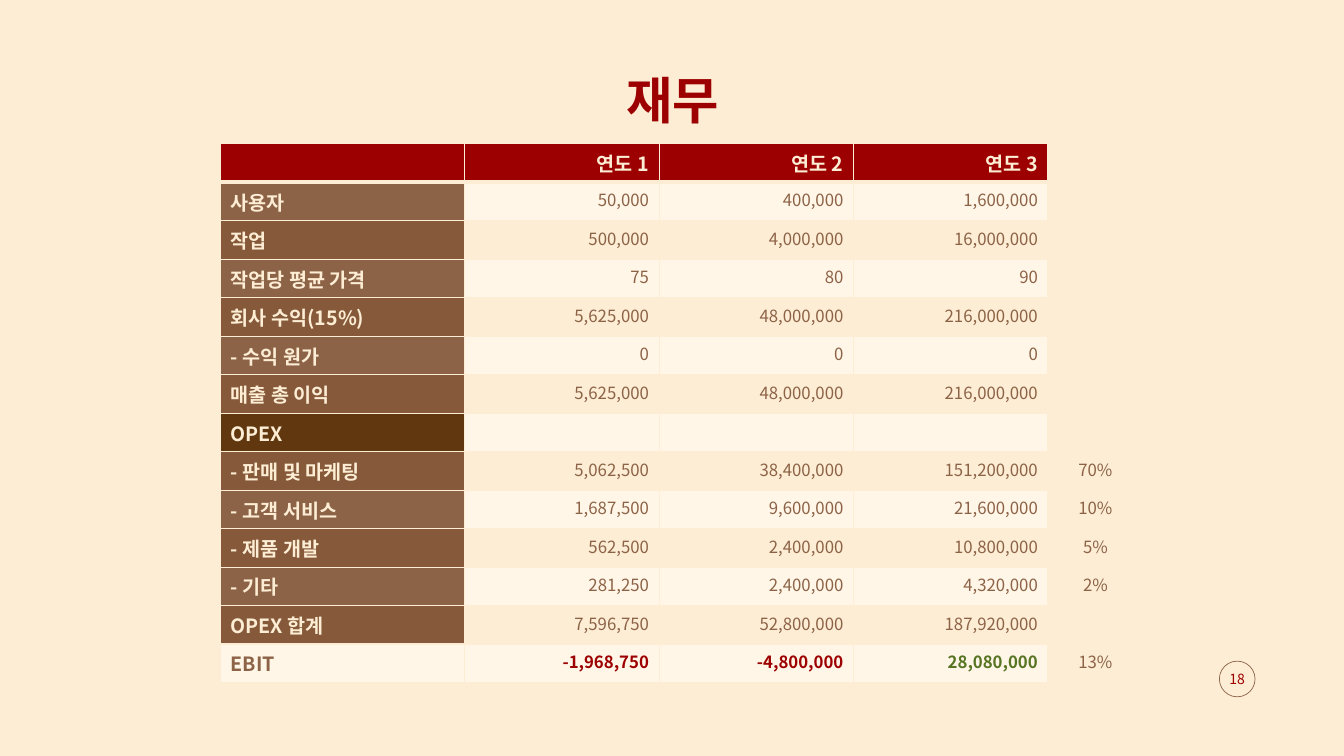
from lxml.etree import SubElement
from pptx import Presentation
from pptx.dml.color import RGBColor
from pptx.enum.shapes import MSO_SHAPE
from pptx.enum.text import MSO_ANCHOR, PP_ALIGN
from pptx.oxml.ns import qn
from pptx.util import Cm, Pt

FONT = "Noto Sans CJK KR"
CREAM = RGBColor(0xFC, 0xED, 0xD4)
PALE = RGBColor(0xFF, 0xF6, 0xE7)
RED = RGBColor(0x9D, 0x00, 0x00)
GREEN = RGBColor(0x57, 0x74, 0x23)
BROWN = RGBColor(0x8D, 0x63, 0x47)
DEEP_BROWN = RGBColor(0x85, 0x59, 0x39)
DARK_BROWN = RGBColor(0x60, 0x37, 0x0F)

TITLE = "재무"
PAGE_NUMBER = "18"
FINANCES = [
    ("", "연도 1", "연도 2", "연도 3", ""),
    ("사용자", "50,000", "400,000", "1,600,000", ""),
    ("작업", "500,000", "4,000,000", "16,000,000", ""),
    ("작업당 평균 가격", "75", "80", "90", ""),
    ("회사 수익(15%)", "5,625,000", "48,000,000", "216,000,000", ""),
    ("- 수익 원가", "0", "0", "0", ""),
    ("매출 총 이익", "5,625,000", "48,000,000", "216,000,000", ""),
    ("OPEX", "", "", "", ""),
    ("- 판매 및 마케팅", "5,062,500", "38,400,000", "151,200,000", "70%"),
    ("- 고객 서비스", "1,687,500", "9,600,000", "21,600,000", "10%"),
    ("- 제품 개발", "562,500", "2,400,000", "10,800,000", "5%"),
    ("- 기타", "281,250", "2,400,000", "4,320,000", "2%"),
    ("OPEX 합계", "7,596,750", "52,800,000", "187,920,000", ""),
    ("EBIT", "-1,968,750", "-4,800,000", "28,080,000", "13%"),
]
COLUMN_WIDTHS = [6.15, 4.9, 4.9, 4.9, 2.39]
ROW_HEIGHT = 0.97
TABLE_LEFT, TABLE_TOP = 5.56, 3.62
LABEL, SHARE = 0, 4
HEADER, EBIT = 0, len(FINANCES) - 1


def write(frame, text, size=12, color=BROWN, bold=False, align=PP_ALIGN.LEFT, spacing=None):
    para = frame.paragraphs[0]
    para.alignment = align
    para.line_spacing = spacing
    if not text:
        SubElement(para._p, qn("a:endParaRPr"), sz=str(size * 100))
        return
    span = para.add_run()
    span.text = text
    font = span.font
    font.name, font.size, font.bold = FONT, Pt(size), bold
    font.color.rgb = color
    SubElement(font._element, qn("a:ea"), typeface=FONT)


def add_text(page, text, left, top, width, height, anchor, **text_format):
    box = page.shapes.add_textbox(Cm(left), Cm(top), Cm(width), Cm(height))
    frame = box.text_frame
    frame.word_wrap = True
    frame.vertical_anchor = anchor
    write(frame, text, **text_format)
    return frame


def add_borders(cell, row):
    properties = cell._tc.get_or_add_tcPr()
    widths = {"L": 1, "R": 1, "T": 3 if row == HEADER + 1 else 1, "B": 3 if row == HEADER else 1}
    for side, width in widths.items():
        line = SubElement(properties, qn("a:ln" + side), w=str(Pt(width)))
        fill = SubElement(line, qn("a:solidFill"))
        SubElement(fill, qn("a:srgbClr"), val=str(CREAM))


def cell_fill(row, column):
    striped = row % 2 == 1
    if column == SHARE:
        return None
    if row == HEADER:
        return RED
    if column == LABEL and row != EBIT:
        if FINANCES[row][LABEL] == "OPEX":
            return DARK_BROWN
        return BROWN if striped else DEEP_BROWN
    return PALE if striped else None


def cell_format(row, column):
    if column == LABEL:
        return dict(size=14, bold=True, color=BROWN if row == EBIT else CREAM)
    if column == SHARE:
        return dict(align=PP_ALIGN.CENTER)
    if row == HEADER:
        return dict(size=14, bold=True, color=CREAM, align=PP_ALIGN.RIGHT)
    if row == EBIT:
        loss = FINANCES[row][column].startswith("-")
        return dict(bold=True, color=RED if loss else GREEN, align=PP_ALIGN.RIGHT)
    return dict(align=PP_ALIGN.RIGHT)


def add_finances(page):
    frame = page.shapes.add_table(
        len(FINANCES), len(COLUMN_WIDTHS), Cm(TABLE_LEFT), Cm(TABLE_TOP),
        Cm(sum(COLUMN_WIDTHS)), Cm(ROW_HEIGHT * len(FINANCES)))
    table = frame.table
    table.first_row = table.horz_banding = False
    for column, width in zip(table.columns, COLUMN_WIDTHS):
        column.width = Cm(width)
    for row, values in enumerate(FINANCES):
        table.rows[row].height = Cm(ROW_HEIGHT)
        for column, value in enumerate(values):
            cell = table.cell(row, column)
            write(cell.text_frame, value, **cell_format(row, column))
            add_borders(cell, row)
            color = cell_fill(row, column)
            if color is None:
                cell.fill.background()
            else:
                cell.fill.solid()
                cell.fill.fore_color.rgb = color


def add_page_number(page):
    circle = page.shapes.add_shape(MSO_SHAPE.OVAL, Cm(30.73), Cm(16.66), Cm(0.9), Cm(0.9))
    circle.shadow.inherit = False
    circle.fill.background()
    circle.line.color.rgb = BROWN
    circle.line.width = Pt(0.5)
    frame = add_text(page, PAGE_NUMBER, 30.68, 16.61, 1, 1, MSO_ANCHOR.MIDDLE,
                     size=10, color=RED, align=PP_ALIGN.CENTER)
    frame.margin_left = frame.margin_right = 0


def main():
    deck = Presentation()
    deck.slide_width, deck.slide_height = Cm(33.87), Cm(19.05)
    page = deck.slides.add_slide(deck.slide_layouts[6])
    page.background.fill.solid()
    page.background.fill.fore_color.rgb = CREAM
    add_text(page, TITLE, 2.34, 1.45, 29.21, 1.96, MSO_ANCHOR.BOTTOM,
             size=36, color=RED, bold=True, align=PP_ALIGN.CENTER, spacing=0.9)
    add_finances(page)
    add_page_number(page)
    deck.save("out.pptx")


if __name__ == "__main__":
    main()
